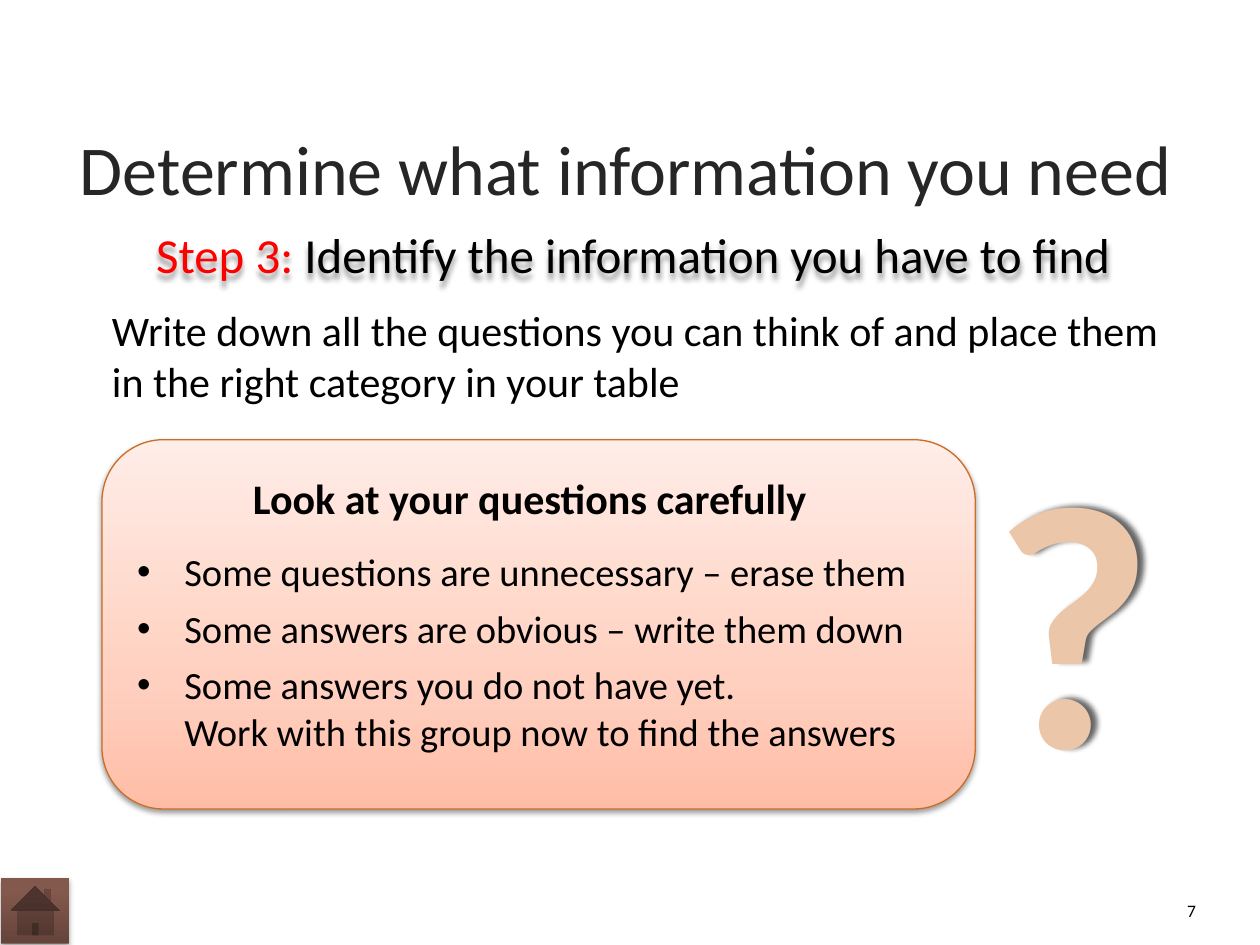
from dataclasses import dataclass
from typing import Optional

from lxml import etree
from pptx import Presentation
from pptx.dml.color import RGBColor
from pptx.enum import shapes as sh, text as tx
from pptx.oxml import ns
from pptx.util import Pt

HUES = {
    "black": "000000",
    "title": "262626",
    "red": "FF0000",
    "mark": "ECC6A9",
    "edge": "CC702D",
    "line": "CB6D28",
}
PANEL = [(0, "FFBDA6"), (35, "FFD0C0"), (100, "FFEDE7")]
HOME = [(0, "65443B"), (80, "83584D"), (100, "85584C")]
FONT = "Calibri"
LEFT, MID, RIGHT = tx.PP_ALIGN.LEFT, tx.PP_ALIGN.CENTER, tx.PP_ALIGN.RIGHT


@dataclass
class Run:
    text: str
    size: float
    hue: str = "black"
    bold: bool = False


@dataclass
class Shade:
    alpha: int
    blur: float
    dist: float
    angle: int = 90


@dataclass
class Box:
    at: tuple
    paras: list
    align: int = LEFT
    wrap: bool = True
    bullet: bool = False
    after: float = 0
    anchor: int = tx.MSO_ANCHOR.TOP
    shade: Optional[Shade] = None


def node(root, tag: str, **attrs):
    return etree.SubElement(root, ns.qn(tag), {k: str(v) for k, v in attrs.items()})


def cast(shape, shade: Shade) -> None:
    shape.shadow.inherit = False
    fx = shape._element.spPr.find(ns.qn("a:effectLst"))
    drop = node(fx, "a:outerShdw", blurRad=Pt(shade.blur), dist=Pt(shade.dist),
                dir=shade.angle * 60000, algn="ctr", rotWithShape=0)
    tint = node(drop, "a:srgbClr", val=HUES["black"])
    node(tint, "a:alpha", val=shade.alpha * 1000)


def blend(shape, stops: list) -> None:
    shape.fill.gradient()
    grad = shape._element.spPr.find(ns.qn("a:gradFill"))
    for kid in list(grad):
        grad.remove(kid)
    group = node(grad, "a:gsLst")
    for pos, hue in stops:
        node(node(group, "a:gs", pos=pos * 1000), "a:srgbClr", val=hue)
    node(grad, "a:lin", ang=270 * 60000, scaled=0)


def add_run(para, run: Run):
    for i, part in enumerate(run.text.split("\n")):
        if i:
            para.add_line_break()
        piece = para.add_run()
        piece.text = part
        font = piece.font
        font.name, font.size, font.bold = FONT, Pt(run.size), run.bold
        font.color.rgb = RGBColor.from_string(HUES[run.hue])
    return piece


def add_box(slide, box: Box):
    shape = slide.shapes.add_textbox(*map(Pt, box.at))
    frame = shape.text_frame
    frame.word_wrap = box.wrap
    frame.vertical_anchor = box.anchor
    for i, runs in enumerate(box.paras):
        para = frame.add_paragraph() if i else frame.paragraphs[0]
        para.alignment = box.align
        if box.after and i < len(box.paras) - 1:
            para.space_after = Pt(box.after)
        if box.bullet:
            props = para._p.get_or_add_pPr()
            props.set("marL", str(Pt(27)))
            props.set("indent", str(Pt(-27)))
            node(props, "a:buFont", typeface="Arial")
            node(props, "a:buChar", char="•")
        for run in runs:
            add_run(para, run)
    if box.shade:
        cast(shape, box.shade)
    return shape


def add_form(slide, kind, at: tuple, stops: list, shade: Shade):
    shape = slide.shapes.add_shape(kind, *map(Pt, at))
    blend(shape, stops)
    shape.line.fill.background()
    cast(shape, shade)
    return shape


def add_mark(slide) -> None:
    mark = add_box(slide, Box((558.7, 225.4, 108.7, 248.4), [[Run("?", 199, "mark", True)]],
                              MID, shade=Shade(60, 3, 4, 335)))
    props = mark.text_frame.paragraphs[0].runs[0].font._element
    line = etree.Element(ns.qn("a:ln"), {"w": str(Pt(1.75))})
    node(node(line, "a:solidFill"), "a:srgbClr", val=HUES["edge"])
    props.insert(0, line)


def add_title(slide) -> None:
    title = slide.shapes.title
    title.left, title.top, title.width, title.height = map(Pt, (35.3, 64.8, 644.4, 61.9))
    title.text_frame.vertical_anchor = tx.MSO_ANCHOR.MIDDLE
    para = title.text_frame.paragraphs[0]
    para.alignment = MID
    add_run(para, Run("Determine what information you need", 40, "title"))


def main() -> None:
    deck = Presentation()
    deck.slide_width, deck.slide_height = Pt(720), Pt(540)
    slide = deck.slides.add_slide(deck.slide_layouts[5])
    add_title(slide)
    add_mark(slide)
    add_box(slide, Box((56.9, 170.6, 617.8, 65.5), [[Run(
        "Write down all the questions you can think of and place them "
        "in the right category in your table", 24)]]))

    panel = add_form(slide, sh.MSO_SHAPE.ROUNDED_RECTANGLE, (58.3, 251.3, 499, 211),
                     PANEL, Shade(38, 3.1, 1.6))
    panel.line.color.rgb = RGBColor.from_string(HUES["line"])
    panel.line.width = Pt(0.75)

    add_box(slide, Box((137.5, 266.4, 334.1, 36),
                       [[Run("Look at your questions carefully", 24, bold=True)]], wrap=False))
    points = [
        "Some questions are unnecessary – erase them",
        "Some answers are obvious – write them down",
        "Some answers you do not have yet.\nWork with this group now to find the answers",
    ]
    add_box(slide, Box((71.3, 309.6, 472.3, 126), [[Run(p, 22)] for p in points],
                       bullet=True, after=6))
    add_box(slide, Box((659.5, 509, 31, 22.3), [[Run("7", 10)]], RIGHT,
                       anchor=tx.MSO_ANCHOR.MIDDLE))
    add_box(slide, Box((74.9, 124.6, 573.8, 41),
                       [[Run("Step 3:", 28, "red"),
                         Run(" Identify the information you have to find", 28)]],
                       MID, shade=Shade(40, 3, 3)))
    add_form(slide, sh.MSO_SHAPE.ACTION_BUTTON_HOME, (0.7, 501.8, 38.9, 37.4),
             HOME, Shade(35, 3.1, 1.8))
    deck.save("out.pptx")


if __name__ == "__main__":
    main()
